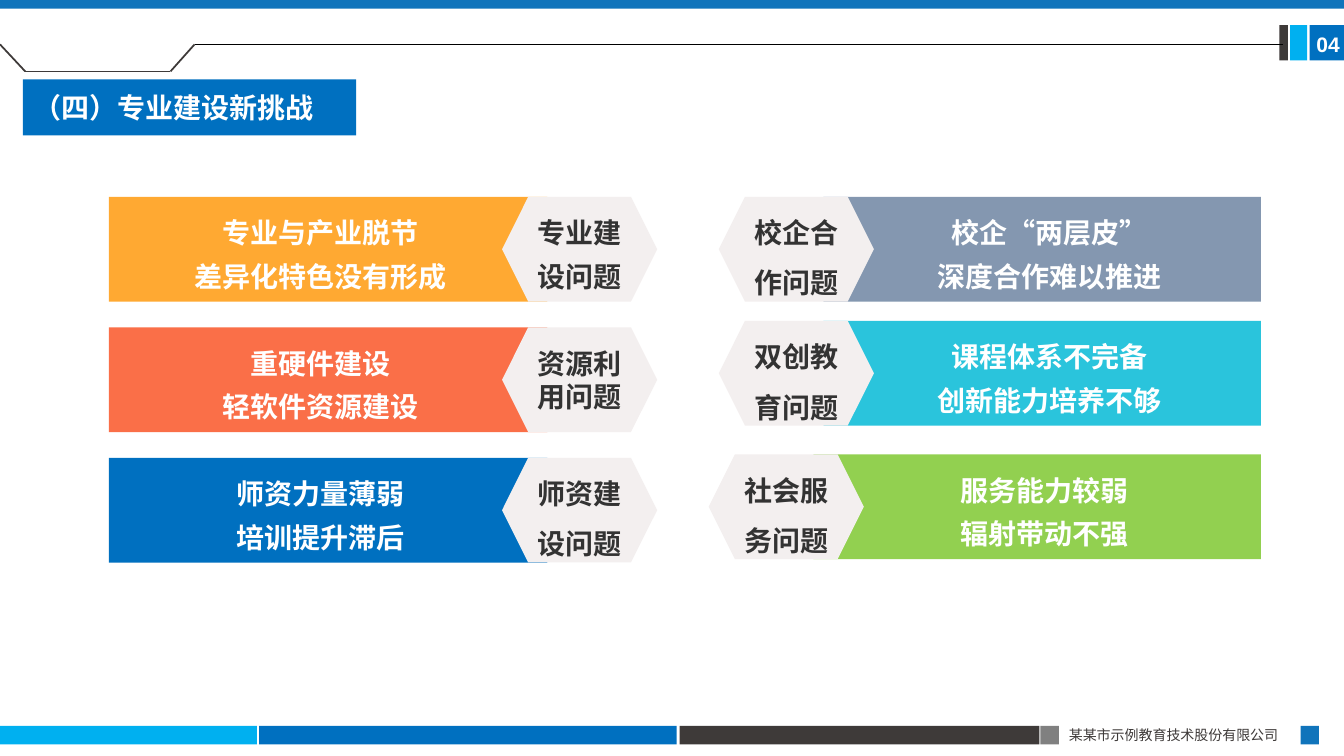
from lxml.etree import SubElement
from pptx import Presentation
from pptx.dml.color import RGBColor
from pptx.enum.shapes import MSO_CONNECTOR as Link, MSO_SHAPE as Kind
from pptx.enum.text import MSO_ANCHOR as Anchor, MSO_AUTO_SIZE as Fit, PP_ALIGN as Align
from pptx.oxml.ns import qn
from pptx.util import Pt

hue = RGBColor.from_string


def paint(shape, color):
    """Give a flat fill with no line and no shadow."""
    shape.fill.solid()
    shape.fill.fore_color.rgb = hue(color)
    shape.line.fill.background()
    if hasattr(shape, "shadow"):
        shape.shadow.inherit = False


def write(shape, lines, size, color, align=Align.CENTER, space=1.0,
          face="Calibri", bold=True, pads=(7.2, 3.6, 7.2, 3.6), anchor=Anchor.MIDDLE):
    """Fill a shape with paragraphs; pads run left, top, right, bottom."""
    frame = shape.text_frame
    frame.text = "\n".join(lines)
    frame.word_wrap = True
    frame.auto_size = Fit.NONE
    frame.vertical_anchor = anchor
    frame.margin_left, frame.margin_top, frame.margin_right, frame.margin_bottom = map(Pt, pads)
    for para in frame.paragraphs:
        para.alignment = align
        para.line_spacing = space
        para.space_before = Pt(0)
        font = para.font
        font.name, font.size, font.bold = face, Pt(size), bold
        font.color.rgb = hue(color)


deck = Presentation()
deck.slide_width, deck.slide_height = Pt(960), Pt(540)
slide = deck.slides.add_slide(deck.slide_layouts[5])
shapes = slide.shapes

# Frame: footer strip, page tag and top band
bands = [
    (0, 518.6, 183.6, 13.2, "00B0F0"),
    (185.2, 518.6, 298.2, 13.2, "0070C0"),
    (485.4, 518.6, 257, 13.2, "3E3A39"),
    (743.2, 518.6, 13.2, 13.2, "808080"),
    (929, 518.6, 13.2, 13.2, "1074BB"),
    (935.4, 18, 24.6, 25.2, "0070C0"),
    (921.6, 18, 12.2, 25.2, "00B0F0"),
    (913.8, 18, 6.2, 25.2, "3E3A39"),
    (0, 0, 960, 6.3, "1074BB"),
]
for *box, color in bands:
    paint(shapes.add_shape(Kind.RECTANGLE, *map(Pt, box)), color)

firm = shapes.add_textbox(Pt(756.4), Pt(515.6), Pt(173), Pt(19.4))
write(firm, ["某某市示例教育技术股份有限公司"], 10, "3E3A39", Align.JUSTIFY,
      face="Noto Sans CJK SC", bold=False, anchor=Anchor.TOP)
page = shapes.add_textbox(Pt(933.2), Pt(18.8), Pt(36), Pt(25.2))
write(page, ["04"], 15, "FFFFFF", Align.LEFT, face="Arial", anchor=Anchor.TOP)

# Header rule
rules = [
    (18, 51, 121.8, 51, "3E3A39", 1.25),
    (121.8, 51, 139, 31.7, "3E3A39", 1.25),
    (18, 51, 0, 31.7, "3E3A39", 1.25),
    (139, 31.7, 916.4, 31.7, "000000", 0.5),
]
for *ends, color, width in rules:
    rule = shapes.add_connector(Link.STRAIGHT, *map(Pt, ends))
    rule.line.color.rgb = hue(color)
    rule.line.width = Pt(width)
    SubElement(rule._element.spPr, qn("a:effectLst"))

title = shapes.title
title.left, title.top, title.width, title.height = map(Pt, (16.4, 56.6, 238, 40.2))
paint(title, "0070C0")
write(title, ["（四）专业建设新挑战"], 20, "FFFFFF", Align.LEFT)

# Challenges: outer edge, notched edge, top, colour, label, label spacing, lines
tall, wide, notch, lap = 74.8, 110.8, 28.5, 32.4
left, right = 77.8, 900.7
rows = [
    (left, 391, 140.6, "FFA932", "专业建设问题", 1.3, ["专业与产业脱节", "差异化特色没有形成"]),
    (left, 391, 233.8, "FA6F48", "资源利用问题", 1.0, ["重硬件建设", "轻软件资源建设"]),
    (left, 391, 327, "0070C0", "师资建设问题", 1.5, ["师资力量薄弱", "培训提升滞后"]),
    (right, 588.2, 140.6, "8497B0", "校企合作问题", 1.5, ["校企“两层皮”", "深度合作难以推进"]),
    (right, 588.2, 229.2, "2AC4DC", "双创教育问题", 1.5, ["课程体系不完备", "创新能力培养不够"]),
    (right, 581, 324.6, "92D050", "社会服务问题", 1.5, ["服务能力较弱", "辐射带动不强"]),
]
for outer, inner, top, color, label, space, lines in rows:
    side = 1 if inner > outer else -1
    low = top + tall
    edge = [(inner, top), (inner - side * notch, top + tall / 2), (inner, low), (outer, low)]
    pen = shapes.build_freeform(Pt(outer), Pt(top))
    pen.add_line_segments([(Pt(x), Pt(y)) for x, y in edge])
    bar = pen.convert_to_shape()
    paint(bar, color)
    pads = (11.5, 3.6, 22.3, 3.6) if side > 0 else (22.3, 3.6, 11.5, 3.6)
    write(bar, lines, 20, "FFFFFF", space=1.3, pads=pads)

    start = inner - lap if side > 0 else inner + lap + 3.6 - wide
    hexa = shapes.add_shape(Kind.HEXAGON, Pt(start), Pt(top), Pt(wide), Pt(tall))
    paint(hexa, "F3EFEF")
    write(hexa, [label], 20, "333333", space=space, pads=(0, 0, 0, 0))

deck.save("out.pptx")
